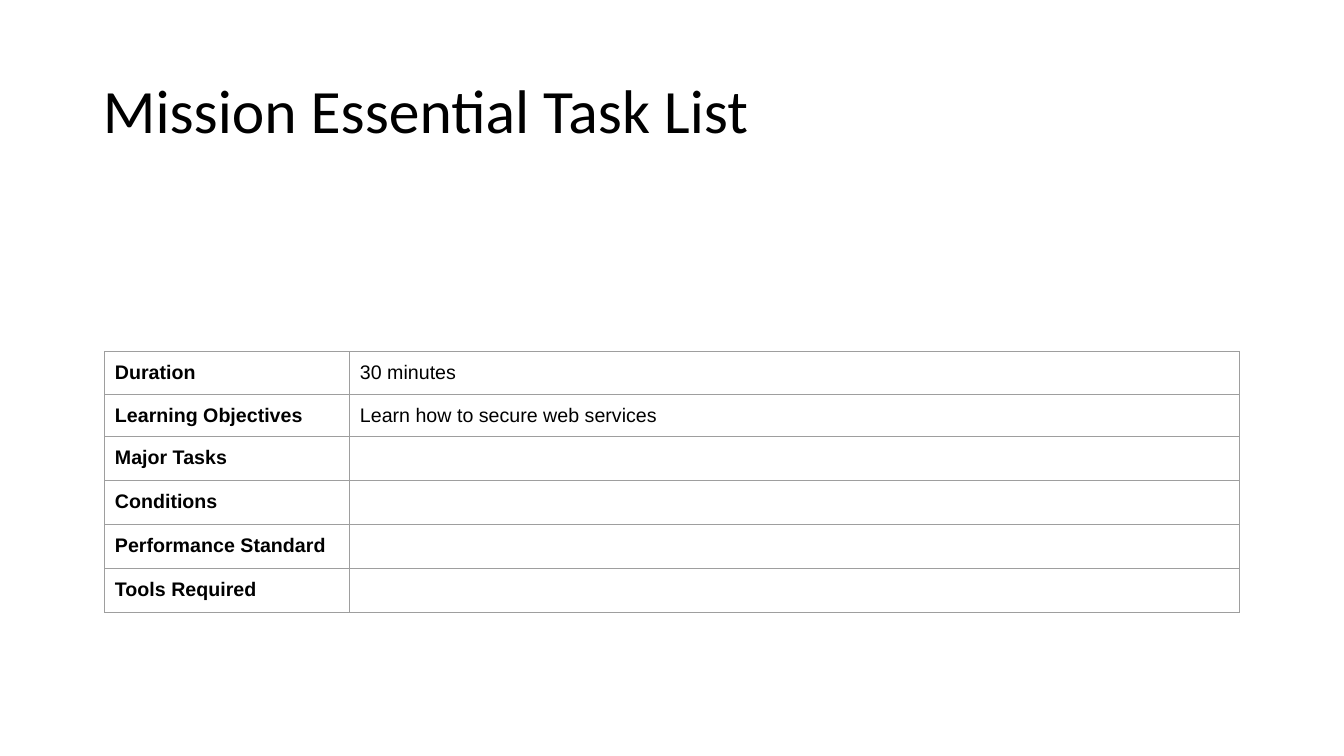
from dataclasses import dataclass

from lxml import etree
from pptx import Presentation
from pptx.dml.color import RGBColor
from pptx.enum.text import MSO_ANCHOR, PP_ALIGN
from pptx.oxml.ns import qn
from pptx.util import Inches, Pt

MIDDLE, TOP = MSO_ANCHOR.MIDDLE, MSO_ANCHOR.TOP
LEFT = PP_ALIGN.LEFT

WIDTH, HEIGHT = 13.33, 7.5
INSET = Inches(0.1)
BLACK, GREY = "000000", "9E9E9E"
BODY_SIZE = Pt(14)
BORDER_WIDTH = Pt(0.75)

TABLE_LEFT, TABLE_TOP = 1.04, 3.49
COLUMN_WIDTHS = (2.43, 8.82)
ROW_HEIGHT = 0.42


@dataclass
class Task:
    label: str
    detail: str = ""


TASKS = [
    Task("Duration", "30 minutes"),
    Task("Learning Objectives", "Learn how to secure web services"),
    Task("Major Tasks"),
    Task("Conditions"),
    Task("Performance Standard"),
    Task("Tools Required"),
]


def rgb(value: str) -> RGBColor:
    return RGBColor.from_string(value)


def set_attributes(target, values: dict) -> None:
    for name, value in values.items():
        setattr(target, name, value)


def set_insets(target) -> None:
    set_attributes(target, {f"margin_{side}": INSET
                            for side in ("left", "top", "right", "bottom")})


def write(p, text: str, size: Pt, font: str, bold: bool) -> None:
    r = p.add_run()
    r.text = text
    set_attributes(r.font, {"size": size, "name": font, "bold": bold})
    r.font.color.rgb = rgb(BLACK)


def add_borders(cell) -> None:
    tcPr = cell._tc.get_or_add_tcPr()
    for index, edge in enumerate(("a:lnL", "a:lnR", "a:lnT", "a:lnB")):
        line = etree.Element(qn(edge), w=str(BORDER_WIDTH))
        fill = etree.SubElement(line, qn("a:solidFill"))
        etree.SubElement(fill, qn("a:srgbClr"), val=GREY)
        tcPr.insert(index, line)


def fill_cell(cell, text: str, bold: bool) -> None:
    set_insets(cell)
    cell.vertical_anchor = TOP
    cell.fill.background()
    add_borders(cell)
    p = cell.text_frame.paragraphs[0]
    if text:
        write(p, text, BODY_SIZE, "Arial", bold)
    else:
        # An empty cell needs the body size too, or its row grows
        etree.SubElement(p._p, qn("a:endParaRPr"), sz=str(int(BODY_SIZE.pt * 100)))


def add_title(s, text: str) -> None:
    title = s.shapes.title
    set_attributes(title, {"left": Inches(0.92), "top": Inches(0.4),
                           "width": Inches(11.5), "height": Inches(1.45)})
    tf = title.text_frame
    set_insets(tf)
    set_attributes(tf, {"word_wrap": True, "vertical_anchor": MIDDLE})
    p = tf.paragraphs[0]
    set_attributes(p, {"alignment": LEFT, "line_spacing": 0.9})
    write(p, text, Pt(44), "Calibri", False)


def add_task_table(s, tasks: list[Task]) -> None:
    table = s.shapes.add_table(
        len(tasks), len(COLUMN_WIDTHS), Inches(TABLE_LEFT), Inches(TABLE_TOP),
        Inches(sum(COLUMN_WIDTHS)), Inches(ROW_HEIGHT * len(tasks))).table
    set_attributes(table, {"first_row": False, "horz_banding": False})
    for column, width in zip(table.columns, COLUMN_WIDTHS):
        column.width = Inches(width)
    for row, task in zip(table.rows, tasks):
        row.height = Inches(ROW_HEIGHT)
        label, detail = row.cells
        fill_cell(label, task.label, True)
        fill_cell(detail, task.detail, False)


def main() -> None:
    prs = Presentation()
    prs.slide_width, prs.slide_height = Inches(WIDTH), Inches(HEIGHT)
    s = prs.slides.add_slide(prs.slide_layouts[5])
    add_title(s, "Mission Essential Task List")
    add_task_table(s, TASKS)
    prs.save("out.pptx")


if __name__ == "__main__":
    main()
